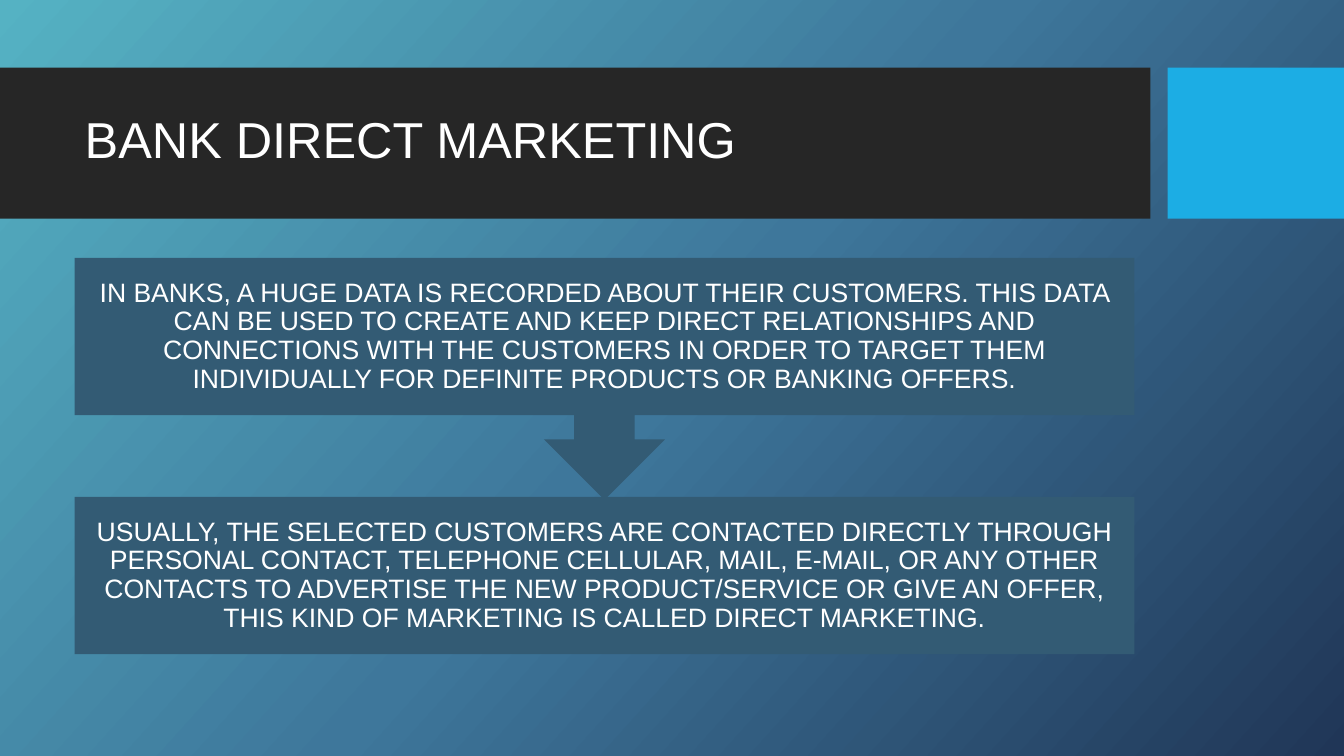
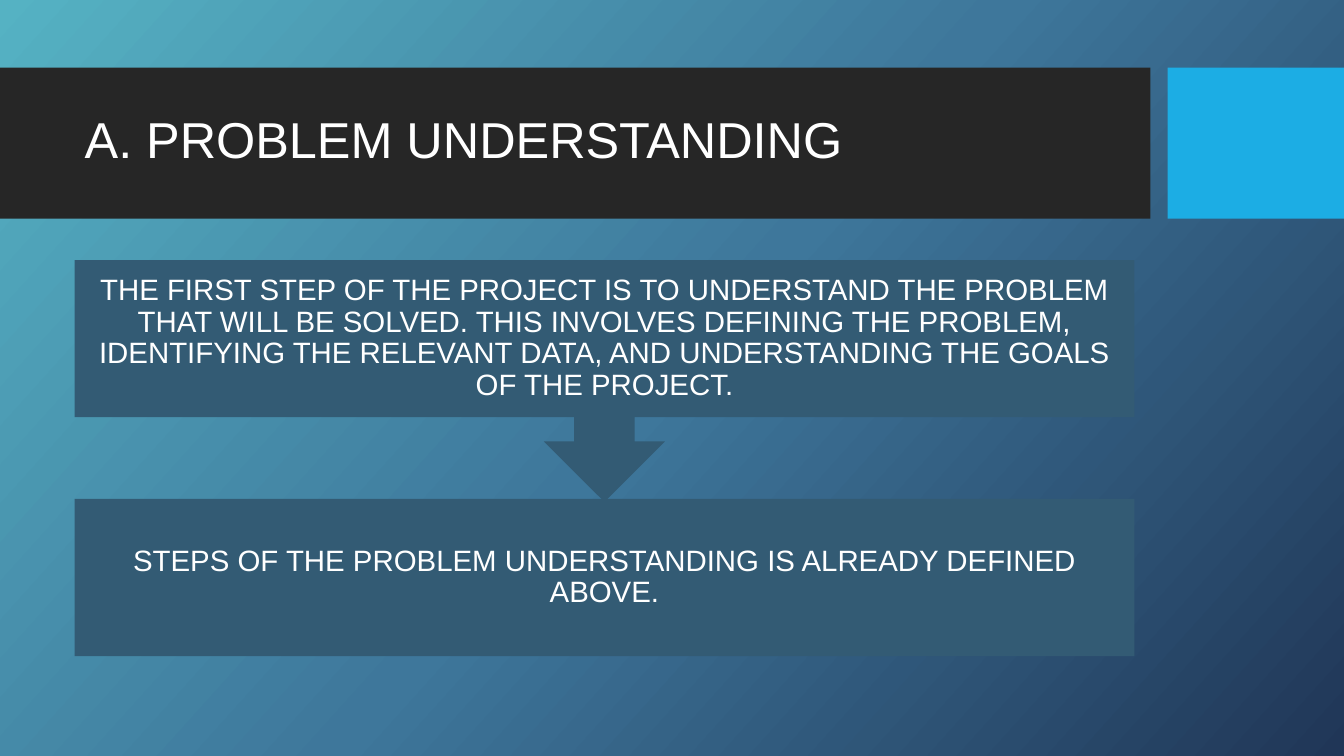
"""Build two slides that each explain a step as a callout leading to a panel."""
from copy import deepcopy
from dataclasses import dataclass

from pptx import Presentation
from pptx.dml.color import RGBColor
from pptx.enum.shapes import MSO_SHAPE
from pptx.enum.text import MSO_ANCHOR, MSO_AUTO_SIZE, PP_ALIGN
from pptx.oxml.ns import qn
from pptx.util import Inches, Pt

RECTANGLE = MSO_SHAPE.RECTANGLE
CALLOUT = MSO_SHAPE.DOWN_ARROW_CALLOUT
MIDDLE = MSO_ANCHOR.MIDDLE
NO_FIT = MSO_AUTO_SIZE.NONE
LEFT, CENTER = PP_ALIGN.LEFT, PP_ALIGN.CENTER

FONT = "Arial"
WHITE, BAND, ACCENT, PANEL = "FFFFFF", "262626", "1CADE4", "335B74"
GRADIENT = [(0, "55B2C3"), (0.5, "3E779B"), (1, "203657")]
GRADIENT_ANGLE = 360 - 42

SLIDE_WIDTH, SLIDE_HEIGHT = 13.33, 7.5
BAND_TOP, BAND_HEIGHT = 0.67, 1.5
BAND_WIDTH, ACCENT_LEFT = 11.41, 11.58
CONTENT_LEFT, CONTENT_WIDTH = 0.74, 10.51
TITLE_TOP, TITLE_HEIGHT, TITLE_SIZE = 0.82, 1.18, 36
CALLOUT_HEIGHT, PANEL_HEIGHT, PANEL_STEP = 2.4, 1.56, 2.37


@dataclass(frozen=True)
class Step:
    """A slide's title, its two statements and their text settings."""
    title: str
    callout: str
    panel: str
    top: float
    size: int
    inset: float


STEPS = [
    Step(
        "BANK DIRECT MARKETING",
        "IN BANKS, A HUGE DATA IS RECORDED ABOUT THEIR CUSTOMERS. THIS DATA CAN BE "
        "USED TO CREATE AND KEEP DIRECT RELATIONSHIPS AND CONNECTIONS WITH THE "
        "CUSTOMERS IN ORDER TO TARGET THEM INDIVIDUALLY FOR DEFINITE PRODUCTS OR "
        "BANKING OFFERS.",
        "USUALLY, THE SELECTED CUSTOMERS ARE CONTACTED DIRECTLY THROUGH PERSONAL "
        "CONTACT, TELEPHONE CELLULAR, MAIL, E-MAIL, OR ANY OTHER CONTACTS TO "
        "ADVERTISE THE NEW PRODUCT/SERVICE OR GIVE AN OFFER, THIS KIND OF MARKETING "
        "IS CALLED DIRECT MARKETING.",
        top=2.56, size=19, inset=0.15,
    ),
    Step(
        "A. PROBLEM UNDERSTANDING",
        "THE FIRST STEP OF THE PROJECT IS TO UNDERSTAND THE PROBLEM THAT WILL BE "
        "SOLVED. THIS INVOLVES DEFINING THE PROBLEM, IDENTIFYING THE RELEVANT DATA, "
        "AND UNDERSTANDING THE GOALS OF THE PROJECT.",
        "STEPS OF THE PROBLEM UNDERSTANDING IS ALREADY DEFINED ABOVE.",
        top=2.58, size=21, inset=0.16,
    ),
]


def color(value: str) -> RGBColor:
    """Turn a hex string into a colour."""
    return RGBColor.from_string(value)


def set_background(layout) -> None:
    """Give the layout the diagonal three-stop gradient."""
    fill = layout.background.fill
    fill.gradient()
    fill.gradient_angle = GRADIENT_ANGLE
    first = next(layout.element.iter(qn("a:gs")))
    first.addnext(deepcopy(first))
    for stop, (position, value) in zip(fill.gradient_stops, GRADIENT):
        stop.position = position
        stop.color.rgb = color(value)


def write(shape, text: str, size: int, align, inset: float = 0.1) -> None:
    """Set and format the one paragraph of a shape."""
    frame = shape.text_frame
    frame.text = text
    frame.word_wrap = True
    frame.auto_size = NO_FIT
    frame.vertical_anchor = MIDDLE
    frame.margin_left = frame.margin_right = Inches(inset)
    frame.margin_top = frame.margin_bottom = Inches(inset)
    para = frame.paragraphs[0]
    para.alignment = align
    para.line_spacing = 0.9
    for span in para.runs:
        span.font.name = FONT
        span.font.size = Pt(size)
        span.font.color.rgb = color(WHITE)


def add_box(page, kind, left: float, top: float, width: float, height: float, fill: str):
    """Add a flat filled shape without an outline."""
    box = page.shapes.add_shape(kind, Inches(left), Inches(top), Inches(width), Inches(height))
    box.shadow.inherit = False
    box.fill.solid()
    box.fill.fore_color.rgb = color(fill)
    box.line.fill.background()
    return box


def add_header(page, text: str) -> None:
    """Draw the bands and bring the title in front of them."""
    add_box(page, RECTANGLE, 0, BAND_TOP, BAND_WIDTH, BAND_HEIGHT, BAND)
    add_box(page, RECTANGLE, ACCENT_LEFT, BAND_TOP, SLIDE_WIDTH - ACCENT_LEFT, BAND_HEIGHT, ACCENT)
    title = page.shapes.title
    title.element.getparent().append(title.element)
    title.left, title.top = Inches(CONTENT_LEFT), Inches(TITLE_TOP)
    title.width, title.height = Inches(CONTENT_WIDTH), Inches(TITLE_HEIGHT)
    write(title, text, TITLE_SIZE, LEFT)


def add_step(deck, layout, step: Step) -> None:
    """Add a slide with a callout pointing to a panel."""
    page = deck.slides.add_slide(layout)
    add_header(page, step.title)
    panel = add_box(page, RECTANGLE, CONTENT_LEFT, step.top + PANEL_STEP,
                    CONTENT_WIDTH, PANEL_HEIGHT, PANEL)
    callout = add_box(page, CALLOUT, CONTENT_LEFT, step.top,
                      CONTENT_WIDTH, CALLOUT_HEIGHT, PANEL)
    for box, text in ((panel, step.panel), (callout, step.callout)):
        write(box, text, step.size, CENTER, step.inset)


def main() -> None:
    """Build and save the deck."""
    deck = Presentation()
    deck.slide_width, deck.slide_height = Inches(SLIDE_WIDTH), Inches(SLIDE_HEIGHT)
    layout = deck.slide_layouts.get_by_name("Title Only")
    set_background(layout)
    for step in STEPS:
        add_step(deck, layout, step)
    deck.save("out.pptx")


if __name__ == "__main__":
    main()
